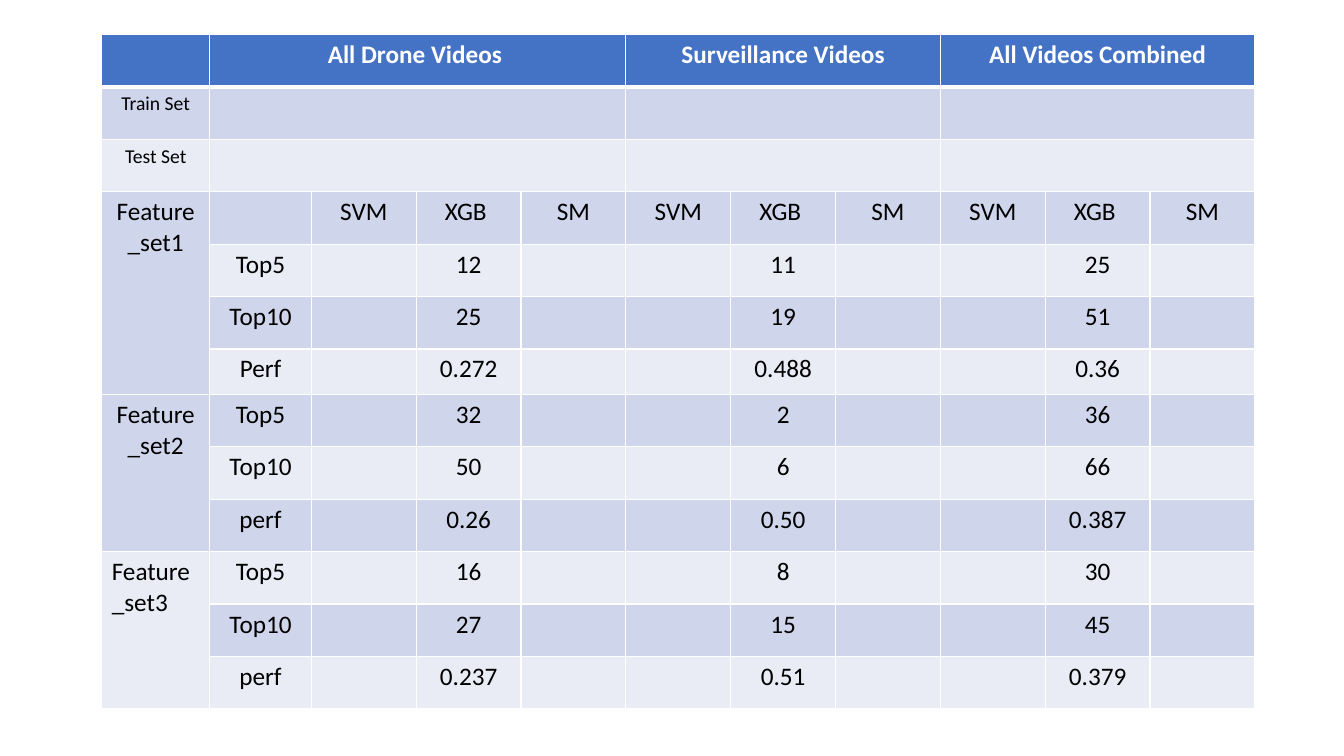
from itertools import product

from lxml.etree import SubElement
from pptx import Presentation
from pptx.dml.color import RGBColor as Rgb
from pptx.enum.text import PP_ALIGN as Align
from pptx.oxml.ns import qn
from pptx.util import Inches, Pt

WHITE = Rgb(0xFF, 0xFF, 0xFF)
BLACK = Rgb(0, 0, 0)
BLUE = Rgb(0x44, 0x72, 0xC4)
DARK = Rgb(0xCF, 0xD5, 0xEA)
LIGHT = Rgb(0xE9, 0xEB, 0xF5)

COL, ROW = 1.04, 0.52  # grid unit in inches
LEFT, TOP = 0.97, 0.66  # table corner in grid units
WIDTHS = [1.03, 0.97] + [1] * 9
HEIGHTS = [1] * 6 + [0.87] + [1] * 6

GROUPS = {1: "All Drone Videos ", 5: "Surveillance Videos", 8: "All Videos Combined"}
SPANS = {1: 4, 5: 3, 8: 3}
SETS = ["Train Set", "Test Set"]
MODELS = ["SVM", "XGB ", "SM"]
SCORE_COLS = [3, 6, 9]
# label, first row, alignment, scores by row
FEATURES = [
    ("Feature_set1", 3, Align.CENTER, [
        ("Top5", "12", "11", "25"),
        ("Top10", "25", "19", "51"),
        ("Perf", "0.272", "0.488", "0.36")]),
    ("Feature_set2", 7, Align.CENTER, [
        ("Top5", "32", "2", "36"),
        ("Top10", "50", "6", "66"),
        ("perf", "0.26", "0.50", "0.387")]),
    ("Feature_set3", 10, Align.LEFT, [
        ("Top5", "16", "8", "30"),
        ("Top10", "27", "15", "45"),
        ("perf", "0.237", "0.51", "0.379")]),
]


class Deck:
    """Holds the style and the current slide."""

    face = "Calibri"
    size = 18

    def __init__(self):
        """Start a wide deck with one blank slide."""
        self.prs = Presentation()
        self.prs.slide_width, self.prs.slide_height = Inches(13.33), Inches(7.5)
        self.slide = self.prs.slides.add_slide(self.prs.slide_layouts[6])

    def table(self, left, top, widths, heights):
        """Add a banded table measured in grid units."""
        frame = self.slide.shapes.add_table(
            len(heights), len(widths), Inches(left * COL), Inches(top * ROW),
            Inches(sum(widths) * COL), Inches(sum(heights) * ROW))
        grid = frame.table
        for col, width in zip(grid.columns, widths):
            col.width = Inches(width * COL)
        for row, height in zip(grid.rows, heights):
            row.height = Inches(height * ROW)
        for r, c in product(range(len(heights)), range(len(widths))):
            cell = grid.cell(r, c)
            self.edge(cell, top=3 if r == 1 else 1, base=1 if r else 3)
            cell.fill.solid()
            cell.fill.fore_color.rgb = (DARK if r % 2 else LIGHT) if r else BLUE
        return grid

    def edge(self, cell, top, base):
        """Draw white borders round a cell."""
        props = cell._tc.get_or_add_tcPr()
        for side, width in zip("LRTB", (1, 1, top, base)):
            line = SubElement(props, qn(f"a:ln{side}"), w=str(Pt(width)))
            fill = SubElement(line, qn("a:solidFill"))
            SubElement(fill, qn("a:srgbClr"), val=str(WHITE))

    def label(self, cell, text, size=size, color=BLACK, bold=False, align=Align.CENTER):
        """Put styled text in a cell."""
        para = cell.text_frame.paragraphs[0]
        para.text, para.alignment = text, align
        font = para.font
        font.name, font.size, font.bold = self.face, Pt(size), bold
        font.color.rgb = color


def main():
    """Build the results slide."""
    deck = Deck()
    grid = deck.table(LEFT, TOP, WIDTHS, HEIGHTS)

    for r, (c, span) in product(range(3), SPANS.items()):
        grid.cell(r, c).merge(grid.cell(r, c + span - 1))
    for c, name in GROUPS.items():
        deck.label(grid.cell(0, c), name, color=WHITE, bold=True)
    for r, name in enumerate(SETS, 1):
        deck.label(grid.cell(r, 0), name, size=14)
    for c, name in enumerate(MODELS * len(GROUPS), 2):
        deck.label(grid.cell(3, c), name)

    for name, first, align, scores in FEATURES:
        start = max(first, 4)  # scores begin below the model names
        grid.cell(first, 0).merge(grid.cell(start + len(scores) - 1, 0))
        deck.label(grid.cell(first, 0), name, align=align)
        for r, line in enumerate(scores, start):
            for c, value in zip([1] + SCORE_COLS, line):
                deck.label(grid.cell(r, c), value)

    deck.prs.save("out.pptx")


main()
